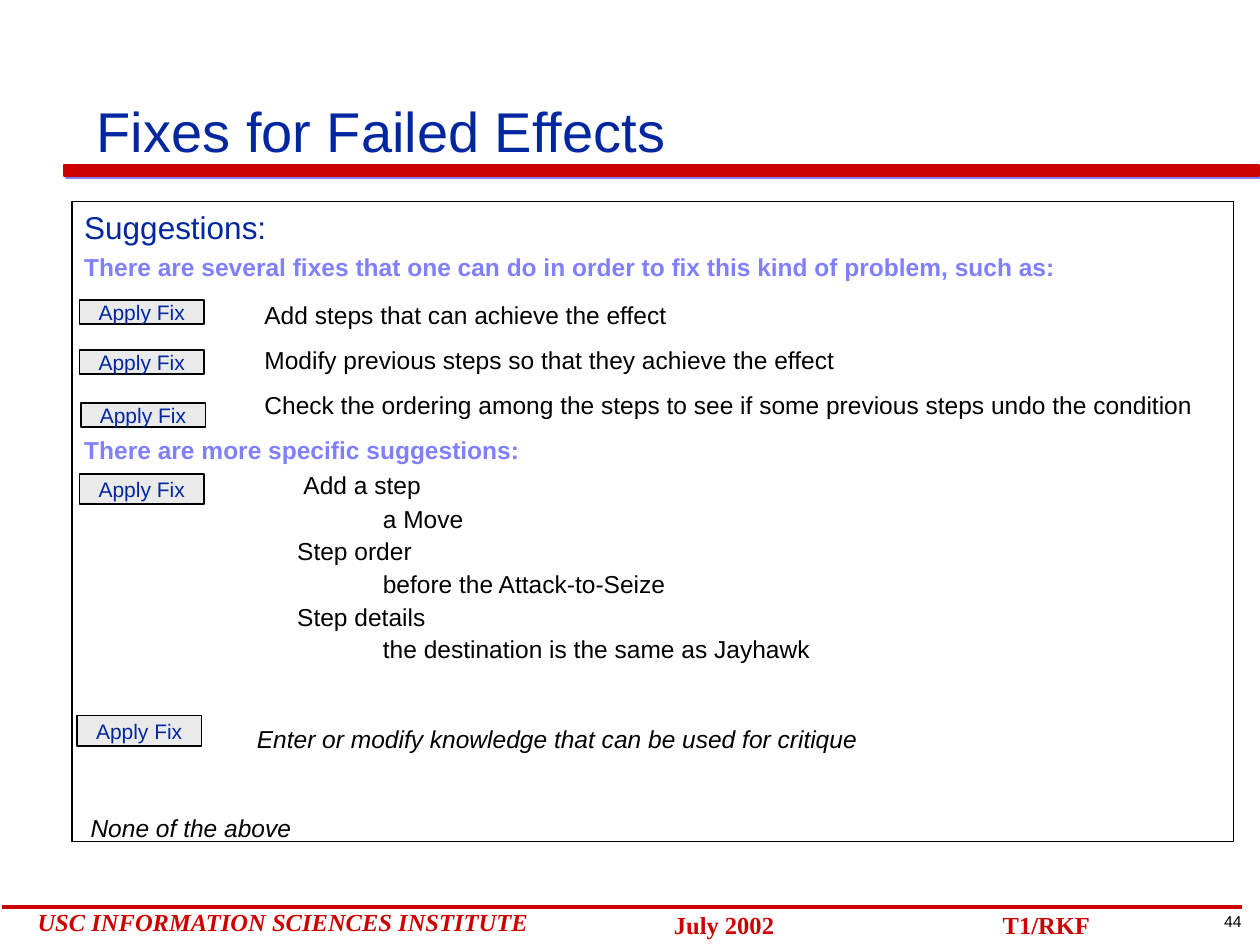
from lxml import etree
from pptx import Presentation
from pptx.dml.color import RGBColor
from pptx.enum.shapes import MSO_CONNECTOR, MSO_SHAPE
from pptx.enum.text import MSO_ANCHOR, PP_ALIGN
from pptx.oxml.ns import qn
from pptx.util import Inches, Pt

RECT = MSO_SHAPE.RECTANGLE
STRAIGHT = MSO_CONNECTOR.STRAIGHT
TOP, MIDDLE, BOTTOM = MSO_ANCHOR.TOP, MSO_ANCHOR.MIDDLE, MSO_ANCHOR.BOTTOM
LEFT, CENTER = PP_ALIGN.LEFT, PP_ALIGN.CENTER

THEME = {
    "red": "CC0000", "navy": "00279F", "violet": "8080FF",
    "black": "000000", "button": "EAEAEA",
    "sans": "Arial", "serif": "Times New Roman",
}

# Text styles: font name, size, colour and emphasis
STYLES = {
    "title": {"name": "sans", "size": 32, "color": "navy"},
    "heading": {"name": "sans", "size": 18, "color": "navy"},
    "lead": {"name": "sans", "size": 14, "color": "violet", "bold": True},
    "body": {"name": "sans", "size": 14, "color": "black"},
    "aside": {"name": "sans", "size": 14, "color": "black", "italic": True},
    "button": {"name": "sans", "size": 12, "color": "navy"},
    "number": {"name": "sans", "size": 9, "color": "black"},
    "footer": {"name": "serif", "size": 14, "color": "red", "bold": True},
    "institute": {"name": "serif", "size": 14, "color": "red",
                  "bold": True, "italic": True},
}

TITLE = "Fixes for Failed Effects"

# Text, style, left indent in inches, space before in points
SUGGESTIONS = [
    ("Suggestions:", "heading", 0, 0),
    ("There are several fixes that one can do in order to fix this kind of "
     "problem, such as:", "lead", 0, 3.5),
    ("Add steps that can achieve the effect", "body", 1.43, 10.6),
    ("Modify previous steps so that they achieve the effect", "body", 1.43, 9.2),
    ("Check the ordering among the steps to see if some previous steps undo "
     "the condition", "body", 1.43, 8.8),
    ("There are more specific suggestions:", "lead", 0, 8.8),
    ("Add a step", "body", 1.74, 3.6),
    ("a Move", "body", 2.37, 2.2),
    ("Step order", "body", 1.69, 1.8),
    ("before the Attack-to-Seize", "body", 2.37, 1.8),
    ("Step details", "body", 1.69, 1.8),
    ("the destination is the same as Jayhawk", "body", 2.37, 1.8),
    ("Enter or modify knowledge that can be used for critique", "aside", 1.37, 34.4),
    ("None of the above", "aside", 0.05, 34.4),
]

BUTTON_TEXT, BUTTON_WIDTH = "Apply Fix", 0.99
BUTTONS = [  # left, top, height
    (0.63, 2.38, 0.19), (0.63, 2.78, 0.19), (0.64, 3.2, 0.19),
    (0.63, 3.76, 0.24), (0.61, 5.68, 0.24),
]

FOOTERS = [  # text, style, box, alignment, wrap
    ("44", "number", (9.4, 7.19, 0.77, 0.25), CENTER, False),
    ("USC INFORMATION SCIENCES INSTITUTE", "institute",
     (0.2, 7.15, 4.36, 0.33), LEFT, True),
    ("T1/RKF", "footer", (7.86, 7.17, 1.64, 0.33), LEFT, True),
    ("July 2002", "footer", (5.25, 7.17, 1.64, 0.33), LEFT, True),
]


def color(name):
    return RGBColor.from_string(THEME[name])


def inches(box):
    return [Inches(v) for v in box]


def write(shape, lines, align=LEFT, anchor=TOP, wrap=True):
    """Fill a shape with (text, style, indent, space before) lines."""
    tf = shape.text_frame
    tf.word_wrap = wrap
    tf.vertical_anchor = anchor
    for i, (text, style, indent, before) in enumerate(lines):
        p = tf.paragraphs[0] if i == 0 else tf.add_paragraph()
        p.alignment = align
        p.space_before = Pt(before)
        p._p.get_or_add_pPr().set("marL", str(Inches(indent)))
        r = p.add_run()
        r.text = text
        fmt = dict(STYLES[style])
        r.font.color.rgb = color(fmt.pop("color"))
        fmt.update(name=THEME[fmt["name"]], size=Pt(fmt["size"]))
        for attr, value in fmt.items():
            setattr(r.font, attr, value)


def add_text(s, box, text, style, **layout):
    write(s.shapes.add_textbox(*inches(box)), [(text, style, 0, 0)], **layout)


def add_rect(s, box, line, fill=None):
    sp = s.shapes.add_shape(RECT, *inches(box))
    sp.shadow.inherit = False
    sp.line.color.rgb = color(line)
    sp.line.width = Pt(1)
    if fill:
        sp.fill.solid()
        sp.fill.fore_color.rgb = color(fill)
    else:
        sp.fill.background()
    return sp


def add_shadow(sp):
    """Give the shape a thin diagonal violet shadow."""
    effects = sp._element.spPr.find(qn("a:effectLst"))
    shadow = etree.SubElement(effects, qn("a:outerShdw"), dist=str(Pt(1.4)),
                              dir="2700000", algn="ctr", rotWithShape="0")
    etree.SubElement(shadow, qn("a:srgbClr"), val=THEME["violet"])


def add_footer_rule(s):
    rule = s.shapes.add_connector(STRAIGHT, *inches((9.86, 7.2, 0.02, 7.2)))
    rule.line.color.rgb = color("red")
    rule.line.width = Pt(2)
    etree.SubElement(rule._element.spPr, qn("a:effectLst"))


def main():
    prs = Presentation()
    prs.slide_width, prs.slide_height = Inches(10), Inches(7.5)
    s = prs.slides.add_slide(prs.slide_layouts[6])

    add_shadow(add_rect(s, (0.51, 1.31, 9.48, 0.09), "red", "red"))
    add_footer_rule(s)
    for text, style, box, align, wrap in FOOTERS:
        add_text(s, box, text, style, align=align, wrap=wrap)
    add_text(s, (0.67, 0.09, 8.48, 1.26), TITLE, "title", anchor=BOTTOM)

    write(add_rect(s, (0.57, 1.6, 9.22, 5.08), "black"), SUGGESTIONS)
    for left, top, height in BUTTONS:
        sp = add_rect(s, (left, top, BUTTON_WIDTH, height), "black", "button")
        write(sp, [(BUTTON_TEXT, "button", 0, 0)], CENTER, MIDDLE, wrap=False)

    prs.save("out.pptx")


if __name__ == "__main__":
    main()
